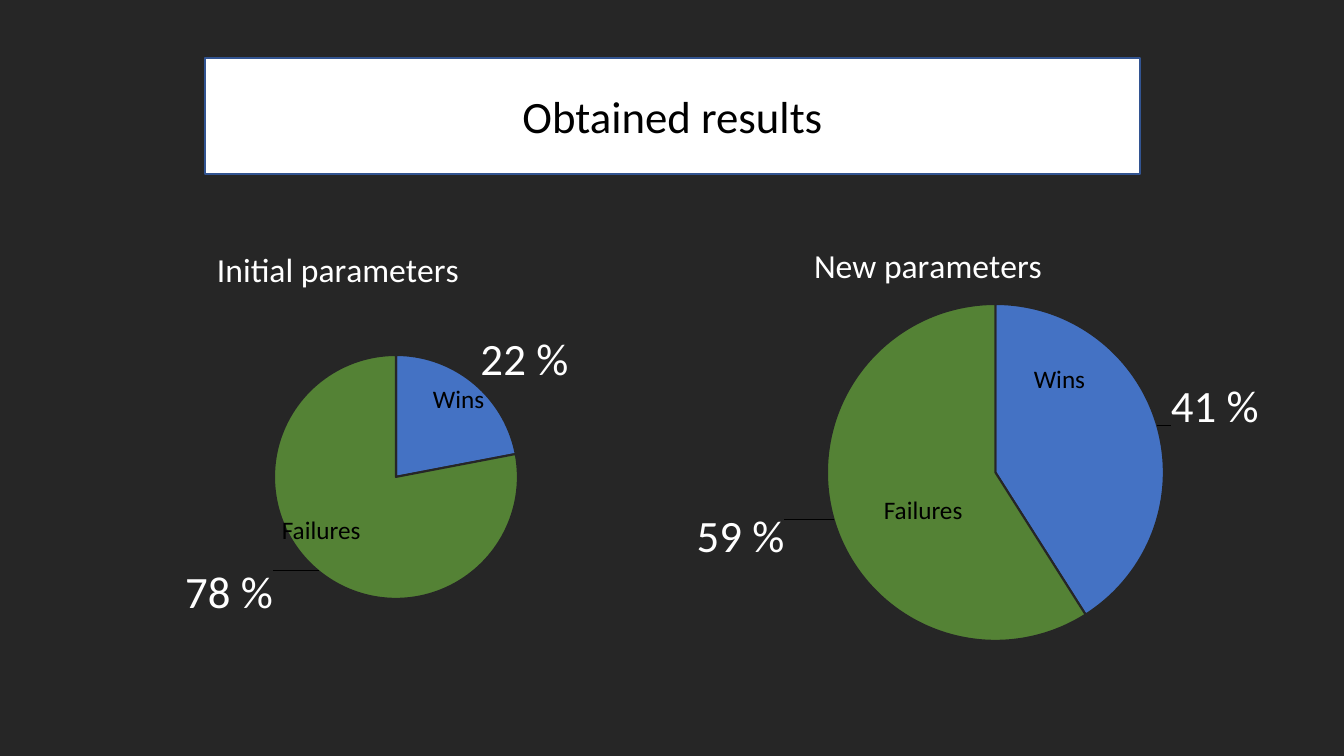
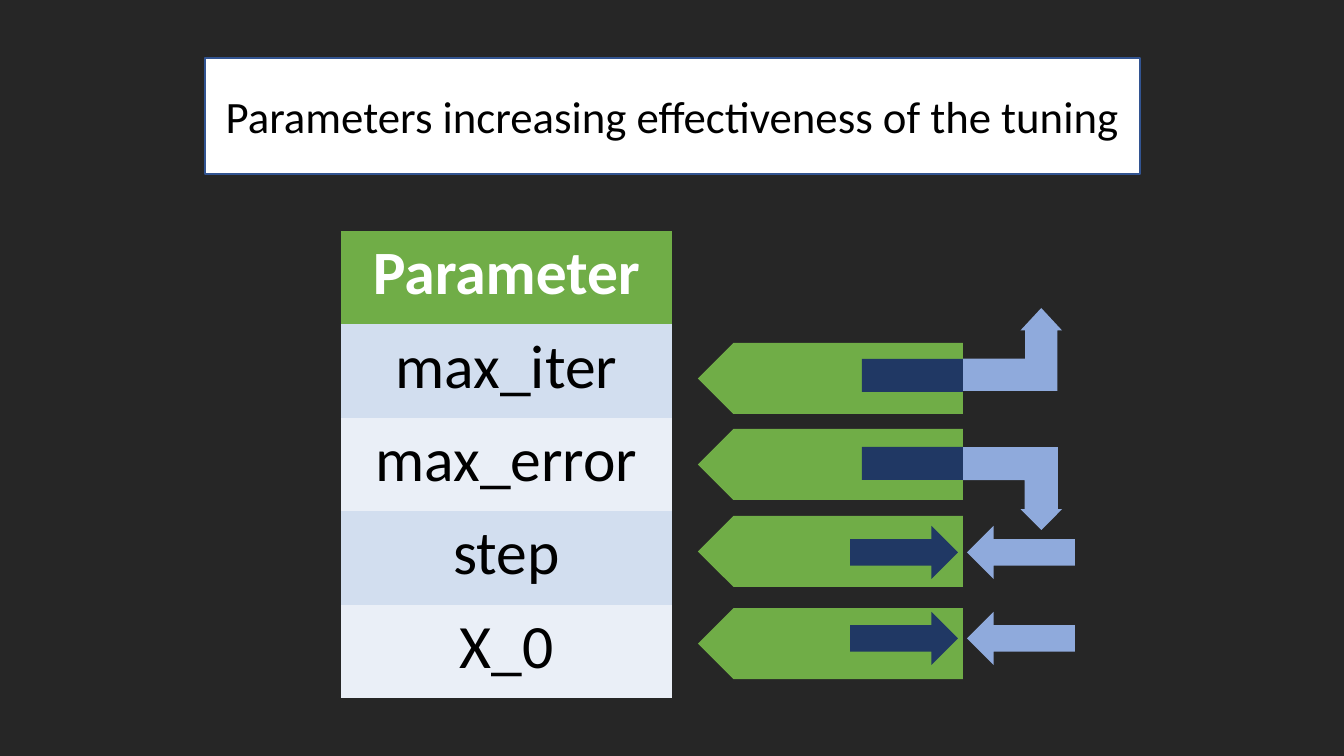
"""Build two slides on tuning results: pie charts and a parameter table."""
import pptx
import pptx.chart.data
import pptx.dml.color
import pptx.enum.chart
import pptx.enum.shapes
import pptx.enum.text
import pptx.oxml
import pptx.oxml.ns
import pptx.util

RGB = pptx.dml.color.RGBColor
SHAPE = pptx.enum.shapes.MSO_SHAPE
ALIGN = pptx.enum.text.PP_ALIGN
qn = pptx.oxml.ns.qn

WHITE = RGB(0xFF, 0xFF, 0xFF)
BLACK = RGB(0x00, 0x00, 0x00)
CHARCOAL = RGB(0x26, 0x26, 0x26)
BORDER = RGB(0x32, 0x54, 0x91)
BLUE = RGB(0x44, 0x72, 0xC4)
FOREST = RGB(0x54, 0x82, 0x35)
GREEN = RGB(0x70, 0xAD, 0x47)
LIGHT_BLUE = RGB(0x8F, 0xAA, 0xDC)
NAVY = RGB(0x20, 0x38, 0x64)
ROW_DARK = RGB(0xD2, 0xDE, 0xEF)
ROW_LIGHT = RGB(0xEA, 0xEF, 0xF7)

NO_GRID = "{2D5ABB26-0587-4C30-8999-92F81FD0307C}"
CHART_W, CHART_H = 646, 434


def px(n):
    return pptx.util.Emu(round(n * 914400 / 100.8))


def set_layout(parent, index, **values):
    """Give a chart part a manual layout from its named settings."""
    for old in parent.findall(qn("c:layout")):
        parent.remove(old)
    items = "".join(f'<c:{k} val="{v}"/>' for k, v in values.items())
    parent.insert(index, pptx.oxml.parse_xml(
        f'<c:layout {pptx.oxml.ns.nsdecls("c")}>'
        f"<c:manualLayout>{items}</c:manualLayout></c:layout>"))


class Deck:
    """Hold the shared style and the current slide."""

    font = "Calibri"

    def __init__(self):
        self.prs = pptx.Presentation()
        self.prs.slide_width, self.prs.slide_height = px(1344), px(756)
        fill = self.prs.slide_master.background.fill
        fill.solid()
        fill.fore_color.rgb = CHARCOAL
        self.slide = None

    def add_text(self, p, text, size, color, bold=False, align=None):
        if align is not None:
            p.alignment = align
        r = p.add_run()
        r.text = text
        r.font.name, r.font.size = self.font, pptx.util.Pt(size)
        r.font.bold, r.font.color.rgb = bold, color

    def add_slide(self, title):
        self.slide = self.prs.slides.add_slide(self.prs.slide_layouts[5])
        sp = self.slide.shapes.title
        sp.left, sp.top, sp.width, sp.height = map(px, (205, 58, 935, 116))
        sp.fill.solid()
        sp.fill.fore_color.rgb = WHITE
        sp.line.color.rgb = BORDER
        sp.line.width = pptx.util.Pt(1)
        tf = sp.text_frame
        tf.auto_size = pptx.enum.text.MSO_AUTO_SIZE.NONE
        tf.vertical_anchor = pptx.enum.text.MSO_ANCHOR.MIDDLE
        self.add_text(tf.paragraphs[0], title, 32, BLACK, align=ALIGN.CENTER)

    def label(self, left, top, text):
        tf = self.slide.shapes.add_textbox(*map(px, (left, top, 100, 40))).text_frame
        tf.word_wrap = False
        self.add_text(tf.paragraphs[0], text, 18, BLACK)

    def shape(self, kind, box, color, rotation=0, adjustments=()):
        sp = self.slide.shapes.add_shape(kind, *map(px, box))
        sp.shadow.inherit = False
        sp.fill.solid()
        sp.fill.fore_color.rgb = color
        sp.line.fill.background()
        sp.rotation = rotation
        for i, value in enumerate(adjustments):
            sp.adjustments[i] = value

    def table(self, box, rows):
        tbl = self.slide.shapes.add_table(len(rows), 1, *map(px, box)).table
        tbl.first_row = tbl.horz_banding = False
        tbl._tbl.find(".//" + qn("a:tableStyleId")).text = NO_GRID
        for i, text in enumerate(rows):
            cell = tbl.cell(i, 0)
            cell.fill.solid()
            cell.fill.fore_color.rgb = GREEN if i == 0 else (ROW_LIGHT, ROW_DARK)[i % 2]
            self.add_text(cell.text_frame.paragraphs[0], text, 44,
                          BLACK if i else WHITE, bold=i == 0, align=ALIGN.CENTER)

    def pie(self, left, top, title, title_at, circle, values, shifts):
        """Draw a pie with its title, circle and label shifts placed in px."""
        data = pptx.chart.data.CategoryChartData()
        data.categories = ["1", "2"]
        data.add_series("Series 1", values)
        chart = self.slide.shapes.add_chart(
            pptx.enum.chart.XL_CHART_TYPE.PIE,
            *map(px, (left, top, CHART_W, CHART_H)), data).chart
        chart.has_legend = False
        chart.font.name, chart.font.size = self.font, pptx.util.Pt(10)
        chart.font.color.rgb = WHITE
        chart.has_title = True
        heading = chart.chart_title
        self.add_text(heading.text_frame.paragraphs[0], title, 24, WHITE)
        x, y = title_at
        set_layout(heading._element, 1, xMode="edge", yMode="edge",
                   x=(x - left) / CHART_W, y=(y - top) / CHART_H)
        x, y, size = circle
        set_layout(chart._chartSpace.chart.plotArea, 0, layoutTarget="inner",
                   xMode="edge", yMode="edge",
                   x=(x - left) / CHART_W, y=(y - top) / CHART_H,
                   w=size / CHART_W, h=size / CHART_H)
        plot = chart.plots[0]
        plot.vary_by_categories = True
        for i, (value, color, (dx, dy)) in enumerate(zip(values, (BLUE, FOREST), shifts)):
            point = plot.series[0].points[i]
            point.format.fill.solid()
            point.format.fill.fore_color.rgb = color
            point.format.line.color.rgb = CHARCOAL
            point.format.line.width = pptx.util.Pt(1.5)
            label = point.data_label
            self.add_text(label.text_frame.paragraphs[0], f"{value} %", 32, WHITE)
            label.position = pptx.enum.chart.XL_LABEL_POSITION.OUTSIDE_END
            dlbl = plot.series[0]._element.findall(".//" + qn("c:dLbl"))[i]
            set_layout(dlbl, 1, x=dx / CHART_W, y=dy / CHART_H)


def build_results(deck):
    deck.add_slide("Obtained results")
    deck.pie(73, 223, "Initial parameters", (211, 241), (274, 355, 244),
             (22, 78), ((3, 10), (-41, -10)))
    deck.pie(672, 223, "New parameters", (808, 237), (827, 304, 337),
             (41, 59), ((8, 11), (-43, -12)))
    for left, top, text in ((272, 509, "Failures"), (423, 378, "Wins"),
                            (874, 489, "Failures"), (1024, 358, "Wins")):
        deck.label(left, top, text)


def build_parameters(deck):
    deck.add_slide("Parameters increasing effectiveness of the tuning")
    deck.table((341, 231, 331, 467),
               ("Parameter", "max_iter", "max_error", "step", "X_0"))
    for top in (343, 429, 516, 608):
        deck.shape(SHAPE.PENTAGON, (698, top, 265, 71), GREEN, 180)
    deck.shape(SHAPE.BENT_UP_ARROW, (963, 308, 99, 83), LIGHT_BLUE,
               adjustments=(0.39, 0.25, 0.27))
    deck.shape(SHAPE.BENT_ARROW, (971, 439, 83, 99), LIGHT_BLUE, 90,
               (0.4, 0.25, 0.25, 0))
    for top in (526, 612):
        deck.shape(SHAPE.RIGHT_ARROW, (850, top, 108, 53), NAVY)
        deck.shape(SHAPE.RIGHT_ARROW, (967, top, 108, 53), LIGHT_BLUE, 180)
    for top in (359, 447):
        deck.shape(SHAPE.RECTANGLE, (862, top, 101, 33), NAVY)


def main():
    deck = Deck()
    build_results(deck)
    build_parameters(deck)
    deck.prs.save("out.pptx")


if __name__ == "__main__":
    main()
